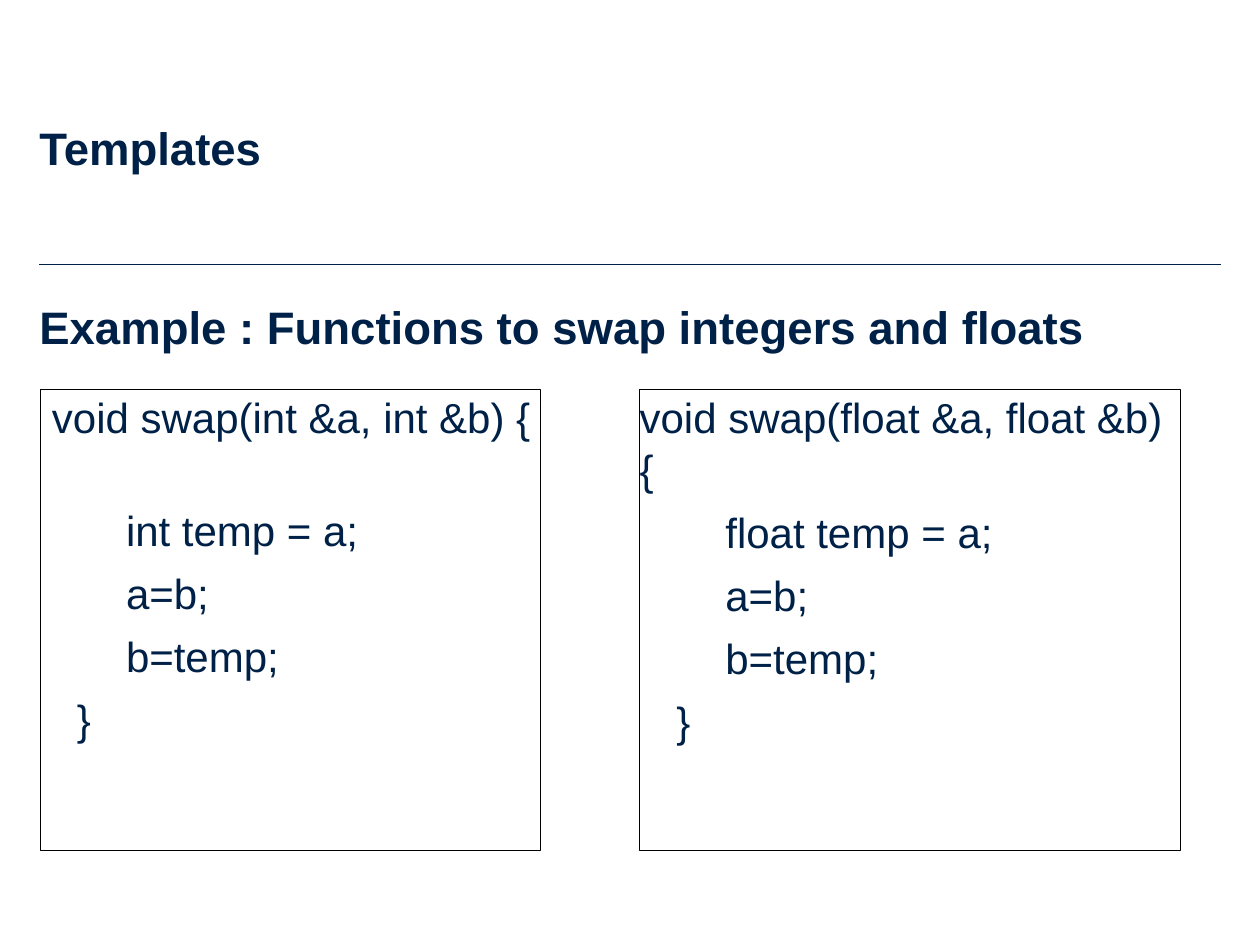
from lxml.etree import SubElement
from pptx import Presentation
from pptx.dml.color import RGBColor
from pptx.enum.shapes import MSO_CONNECTOR, MSO_SHAPE
from pptx.enum.text import MSO_ANCHOR as Anchor, PP_ALIGN as Align
from pptx.oxml.ns import qn
from pptx.util import Pt

COLORS = {"navy": "002147", "black": "000000"}
FONT = "Arial"
MARGIN = 22.5
CONTENT_WIDTH = 675
CODE_TOP, CODE_HEIGHT = 222.5, 263.5
BRACE_INDENT, BODY_INDENT = 21, 49
LINE_HEIGHT, LINE_GAP = 28.7, 6


def color(name):
    return RGBColor.from_string(COLORS[name])


def style_paragraph(paragraph, size, bold=False):
    paragraph.alignment = Align.LEFT
    for run in paragraph.runs:
        run.font.name = FONT
        run.font.size = Pt(size)
        run.font.bold = bold
        run.font.color.rgb = color("navy")


def prepare_frame(frame, anchor, top_inset=0):
    frame.word_wrap = True
    frame.vertical_anchor = anchor
    frame.margin_left = frame.margin_right = frame.margin_bottom = 0
    frame.margin_top = Pt(top_inset)


def add_heading(slide, text, top, width, height, anchor, top_inset=0):
    heading = slide.shapes.add_textbox(Pt(MARGIN), Pt(top), Pt(width), Pt(height))
    prepare_frame(heading.text_frame, anchor, top_inset)
    heading.text_frame.text = text
    style_paragraph(heading.text_frame.paragraphs[0], 26, bold=True)


def add_rule(slide, y):
    rule = slide.shapes.add_connector(
        MSO_CONNECTOR.STRAIGHT, Pt(MARGIN), Pt(y), Pt(MARGIN + CONTENT_WIDTH), Pt(y))
    rule.line.color.rgb = color("navy")
    rule.line.width = Pt(0.6)
    SubElement(rule.element.spPr, qn("a:effectLst"))


def add_swap_code(slide, left, width, number_type, signature_indent=0, body_gap=LINE_GAP):
    box = slide.shapes.add_shape(
        MSO_SHAPE.RECTANGLE, Pt(left), Pt(CODE_TOP), Pt(width), Pt(CODE_HEIGHT))
    box.shadow.inherit = False
    box.fill.background()
    box.line.color.rgb = color("black")
    box.line.width = Pt(0.75)
    prepare_frame(box.text_frame, Anchor.TOP)

    # Each line of code: text, left indent, space before
    code = [
        (f"void swap({number_type} &a, {number_type} &b) {{", signature_indent, 0),
        (f"{number_type} temp = a;", BODY_INDENT, body_gap),
        ("a=b;", BODY_INDENT, LINE_GAP),
        ("b=temp;", BODY_INDENT, LINE_GAP),
        ("}", BRACE_INDENT, LINE_GAP),
    ]
    box.text_frame.text = "\n".join(text for text, _, _ in code)
    for paragraph, (_, indent, gap) in zip(box.text_frame.paragraphs, code):
        style_paragraph(paragraph, 24)
        paragraph.line_spacing = 1.04
        paragraph.space_before = Pt(gap)
        paragraph._p.get_or_add_pPr().set("marL", str(Pt(indent)))


def main():
    deck = Presentation()
    deck.slide_width, deck.slide_height = Pt(720), Pt(540)
    slide = deck.slides.add_slide(deck.slide_layouts[6])

    # Header
    add_rule(slide, 151)
    add_heading(slide, "Templates", 0, 546.5, 100, Anchor.BOTTOM, top_inset=3.6)
    add_heading(slide, "Example : Functions to swap integers and floats",
                169, CONTENT_WIDTH, 34.5, Anchor.MIDDLE)

    # The same function for two types; the left body starts one line lower
    add_swap_code(slide, 23, 286, "int", signature_indent=6.7,
                  body_gap=LINE_HEIGHT + LINE_GAP)
    add_swap_code(slide, 365.5, 309, "float")

    deck.save("out.pptx")


if __name__ == "__main__":
    main()
